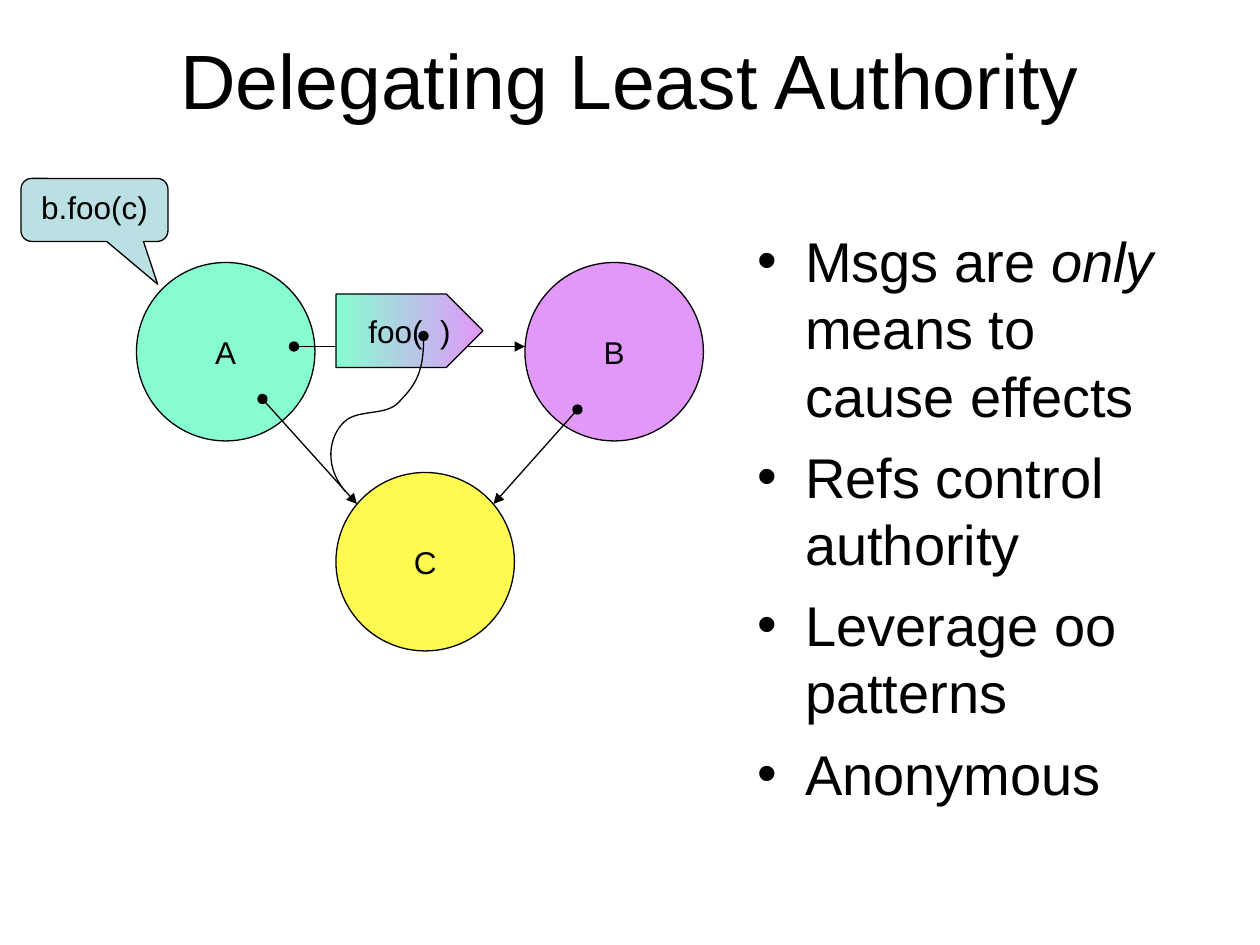
from lxml import etree
from pptx import Presentation
from pptx.dml.color import RGBColor
from pptx.enum.shapes import MSO_CONNECTOR, MSO_SHAPE
from pptx.enum.text import MSO_ANCHOR, PP_ALIGN
from pptx.oxml.ns import qn
from pptx.util import Pt

OVAL, CALLOUT = MSO_SHAPE.OVAL, MSO_SHAPE.ROUNDED_RECTANGULAR_CALLOUT
STRAIGHT = MSO_CONNECTOR.STRAIGHT
CENTER, LEFT = PP_ALIGN.CENTER, PP_ALIGN.LEFT
TOP, MIDDLE = MSO_ANCHOR.TOP, MSO_ANCHOR.MIDDLE
BLACK, MINT, VIOLET = "000000", "87FCD1", "E298F9"
YELLOW, PALE_BLUE = "FFFA51", "BBE0E3"


def rgb(hex_color):
    return RGBColor.from_string(hex_color)


def add_run(paragraph, text, size, italic=False):
    run = paragraph.add_run()
    run.text = text
    run.font.name = "Arial"
    run.font.size = Pt(size)
    run.font.italic = italic
    run.font.color.rgb = rgb(BLACK)


def set_label(shape, text, size=18, anchor=MIDDLE, wrap=False):
    frame = shape.text_frame
    frame.word_wrap = wrap
    frame.vertical_anchor = anchor
    frame.paragraphs[0].alignment = CENTER
    add_run(frame.paragraphs[0], text, size)


def outline(shape):
    shape.line.color.rgb = rgb(BLACK)
    shape.line.width = Pt(0.75)


def line_ends(shape, **ends):
    line = shape.line._get_or_add_ln()
    for tag, kind in ends.items():
        etree.SubElement(line, qn(f"a:{tag}"), type=kind)


def add_solid(shapes, kind, box, color):
    shape = shapes.add_shape(kind, *map(Pt, box))
    shape.shadow.inherit = False
    shape.fill.solid()
    shape.fill.fore_color.rgb = rgb(color)
    outline(shape)
    return shape


def add_freeform(shapes, points, close):
    points = [(Pt(x), Pt(y)) for x, y in points]
    builder = shapes.build_freeform(*points[0])
    builder.add_line_segments(points[1:], close=close)
    shape = builder.convert_to_shape()
    shape.shadow.inherit = False
    outline(shape)
    return shape


def bend(shape):
    """Turn each three line segments of a freeform into one Bézier curve."""
    outline_path = next(shape._element.iter(qn("a:path")))
    segments = outline_path.findall(qn("a:lnTo"))
    for start in range(0, len(segments), 3):
        curve = etree.SubElement(outline_path, qn("a:cubicBezTo"))
        for segment in segments[start:start + 3]:
            curve.append(segment[0])
            outline_path.remove(segment)


def add_reference(shapes, x1, y1, x2, y2):
    arrow = shapes.add_connector(STRAIGHT, Pt(x1), Pt(y1), Pt(x2), Pt(y2))
    outline(arrow)
    line_ends(arrow, headEnd="oval", tailEnd="triangle")
    etree.SubElement(arrow._element.spPr, qn("a:effectLst"))


def add_title(shapes, left, top, width, height):
    title = shapes.add_textbox(Pt(left), Pt(top), Pt(width), Pt(height))
    set_label(title, "Delegating Least Authority", 44, wrap=True)


def add_message(shapes, left, top):
    """Message foo in flight, carrying a reference to C."""
    message = shapes.add_group_shape().shapes
    width, shoulder, height = 84, 63, 42
    tag = add_freeform(message, [
        (left, top), (left + shoulder, top), (left + width, top + height / 2),
        (left + shoulder, top + height), (left, top + height)], True)
    tag.fill.gradient()
    tag.fill.gradient_angle = 0
    for stop, color, position in zip(tag.fill.gradient_stops,
                                     (MINT, VIOLET), (0, 1)):
        stop.color.rgb = rgb(color)
        stop.position = position
    set_label(tag, "foo(  )")

    # Start point, then two control points and an end point per curve
    carried = [(50, 24), (50.6, 46.6), (43.4, 53.8), (36, 61.7),
               (29, 69.6), (14, 66), (6, 72),
               (-2, 78), (-9, 95.5), (5.3, 112.8)]
    argument = add_freeform(
        message, [(left + x, top + y) for x, y in carried], False)
    bend(argument)
    argument.fill.background()
    line_ends(argument, headEnd="oval")


def add_diagram(shapes, left, top):
    # Objects
    diameter = 102
    for name, x, y, color in (("A", 66, 48, MINT), ("B", 288, 48, VIOLET),
                              ("C", 180, 168, YELLOW)):
        circle = add_solid(shapes, OVAL,
                           (left + x, top + y, diameter, diameter), color)
        set_label(circle, name)

    # Code spoken by A
    code = add_solid(shapes, CALLOUT, (left, top, 84, 36), PALE_BLUE)
    for index, value in enumerate((0.43, 1.18, 0.17)):
        code.adjustments[index] = value
    set_label(code, "b.foo(c)", anchor=TOP, wrap=True)

    # References: A to B, A to C, then B to C above the message
    add_reference(shapes, left + 156, top + 96, left + 288, top + 96)
    add_reference(shapes, left + 138, top + 126, left + 192, top + 186)
    add_message(shapes, left + 180, top + 66)
    add_reference(shapes, left + 318, top + 132, left + 270, top + 186)


def add_points(shapes, left, top, width, height):
    frame = shapes.add_textbox(
        Pt(left), Pt(top), Pt(width), Pt(height)).text_frame
    frame.word_wrap = True
    points = [
        [("Msgs are ", False), ("only", True),
         (" means to cause effects", False)],
        [("Refs control authority", False)],
        [("Leverage oo patterns", False)],
        [("Anonymous", False)],
    ]
    for index, runs in enumerate(points):
        paragraph = frame.add_paragraph() if index else frame.paragraphs[0]
        paragraph.alignment = LEFT
        paragraph.space_before = Pt(8)
        properties = paragraph._p.get_or_add_pPr()
        properties.set("marL", str(Pt(27)))
        properties.set("indent", str(-Pt(27)))
        etree.SubElement(properties, qn("a:buFont"), typeface="Arial")
        etree.SubElement(properties, qn("a:buChar"), char="•")
        for text, italic in runs:
            add_run(paragraph, text, 32, italic)


def main():
    deck = Presentation()
    deck.slide_width, deck.slide_height = Pt(720), Pt(540)
    shapes = deck.slides.add_slide(deck.slide_layouts[6]).shapes
    add_title(shapes, 36, 0, 648, 90)
    add_diagram(shapes, 12, 102)
    add_points(shapes, 426, 126, 258, 356.4)
    deck.save("out.pptx")


if __name__ == "__main__":
    main()
